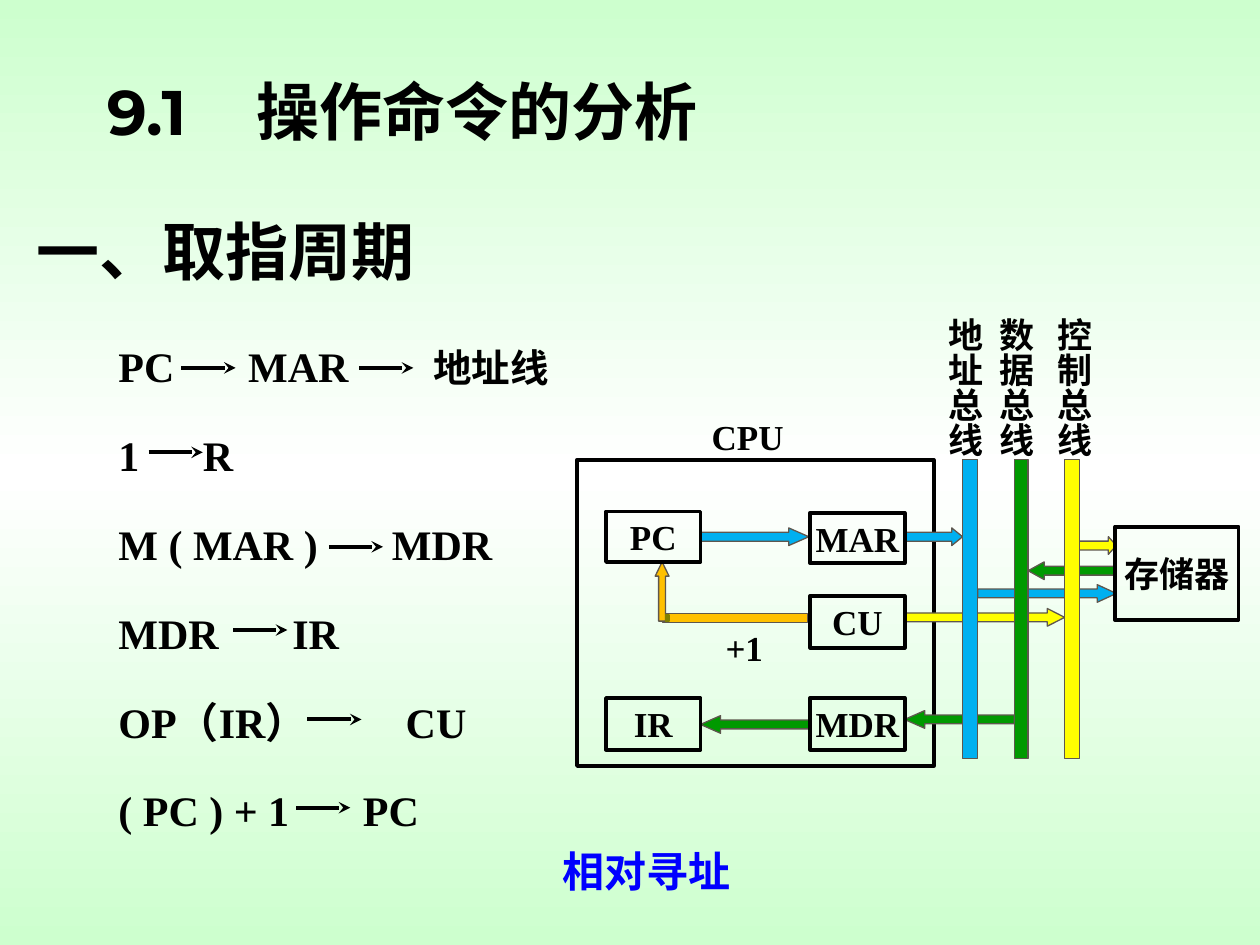
from lxml.etree import SubElement
from pptx import Presentation
from pptx.dml.color import RGBColor
from pptx.enum.shapes import MSO_CONNECTOR, MSO_SHAPE
from pptx.enum.text import MSO_ANCHOR, PP_ALIGN
from pptx.oxml import parse_xml
from pptx.oxml.ns import nsdecls, qn
from pptx.util import Inches, Pt

COLORS = {
    "black": "000000", "outline": "5E574E", "note": "0000FF",
    "address": "00B0F0", "data": "009900", "control": "FFFF00",
    "increment": "FFC000", "corner": "808000",
    "edge": "CDFFCE", "middle": "FFFFFF",
}
SERIF = "Times New Roman"
ARROW_LENGTH = 0.43
BLOCK_HEIGHT = 0.14
BUS_TOP, BUS_HEIGHT = 3.65, 2.37
ROW_LEFT, ROW_TOP, ROW_STEP = 0.94, 2.67, 0.705

# Micro-operations: operands, tab stops of later operands, arrow starts, arrow height
MICRO_OPERATIONS = [
    (("PC", "MAR", "地址线"), (1.03, 2.5), (1.44, 2.85), 2.92),
    (("1", "R"), (0.67,), (1.18,), 3.59),
    (("M ( MAR )", "MDR"), (2.17,), (2.61,), 4.34),
    (("MDR", "IR"), (1.38,), (1.85,), 5.0),
    (("OP（IR）", "CU"), (2.28,), (2.44,), 5.71),
    (("( PC ) + 1", "PC"), (1.94,), (2.35,), 6.41),
]
# Block arrows: direction, left, top, width, head ratio, colour
BLOCK_ARROWS = [
    ("right", 7.18, 4.19, 0.46, 0.61, "address"),
    ("right", 5.56, 4.19, 0.86, 1.14, "address"),
    ("left", 7.18, 5.64, 0.87, 1.14, "data"),
    ("right", 7.18, 4.83, 1.27, 0.98, "control"),
    ("right", 7.76, 4.64, 1.1, 1.08, "address"),
    ("left", 8.16, 4.46, 0.69, 0.91, "data"),
    ("right", 8.51, 4.26, 0.35, 0.45, "control"),
    ("left", 5.56, 5.68, 0.86, 1.14, "data"),
]
# Units: name, left, top, width, height
UNITS = [
    ("PC", 4.81, 4.06, 0.75, 0.4),
    ("MAR", 6.43, 4.07, 0.75, 0.4),
    ("CU", 6.43, 4.73, 0.75, 0.41),
    ("IR", 4.81, 5.54, 0.75, 0.41),
    ("MDR", 6.43, 5.54, 0.75, 0.41),
    ("存储器", 8.85, 4.18, 0.98, 0.74),
]
# Buses: name, label left, bar left, bar width, colour
BUSES = [
    ("地址总线", 7.34, 7.64, 0.12, "address"),
    ("数据总线", 7.75, 8.05, 0.11, "data"),
    ("控制总线", 8.21, 8.45, 0.12, "control"),
]


def rgb(name):
    return RGBColor.from_string(COLORS[name])


def box(left, top, width, height):
    return [Inches(value) for value in (left, top, width, height)]


def write(shape, text, size, font=SERIF, color="black", align=PP_ALIGN.LEFT,
          anchor=MSO_ANCHOR.TOP, insets=(0.1, 0.05), wrap=False, tabs=()):
    frame = shape.text_frame
    frame.text = text
    frame.word_wrap = wrap
    frame.vertical_anchor = anchor
    frame.margin_left = frame.margin_right = Inches(insets[0])
    frame.margin_top = frame.margin_bottom = Inches(insets[1])
    paragraph = frame.paragraphs[0]
    paragraph.alignment = align
    if tabs:
        tab_list = SubElement(paragraph._p.get_or_add_pPr(), qn("a:tabLst"))
        for position in tabs:
            SubElement(tab_list, qn("a:tab"), pos=str(Inches(position)), algn="l")
    for run in paragraph.runs:
        run.font.name = font
        run.font.size = Pt(size)
        run.font.bold = True
        run.font.color.rgb = rgb(color)


def add_text(slide, place, text, size, **style):
    shape = slide.shapes.add_textbox(*box(*place))
    write(shape, text, size, **style)
    return shape


def add_block(slide, preset, place, fill=None, line="outline", line_width=0.75):
    shape = slide.shapes.add_shape(preset, *box(*place))
    shape.shadow.inherit = False
    if fill:
        shape.fill.solid()
        shape.fill.fore_color.rgb = rgb(fill)
    else:
        shape.fill.background()
    shape.line.color.rgb = rgb(line)
    shape.line.width = Pt(line_width)
    return shape


def add_frame(slide, place):
    """Add an unfilled rectangle with a heavy black outline."""
    return add_block(slide, MSO_SHAPE.RECTANGLE, place, line="black", line_width=2.25)


def add_transfer_arrow(slide, left, top):
    connector = slide.shapes.add_connector(
        MSO_CONNECTOR.STRAIGHT, *box(left, top, left + ARROW_LENGTH, top))
    connector.line.color.rgb = rgb("black")
    connector.line.width = Pt(2.25)
    SubElement(connector.line._get_or_add_ln(), qn("a:tailEnd"), type="stealth")
    SubElement(connector._element.spPr, qn("a:effectLst"))


def set_background(slide):
    stops = "".join(
        f'<a:gs pos="{position}"><a:srgbClr val="{COLORS[name]}"/></a:gs>'
        for position, name in ((0, "edge"), (50000, "middle"), (100000, "edge")))
    slide._element.cSld.insert(0, parse_xml(
        f'<p:bg {nsdecls("p", "a")}><p:bgPr><a:gradFill rotWithShape="0">'
        f'<a:gsLst>{stops}</a:gsLst><a:lin ang="5400000" scaled="0"/>'
        '</a:gradFill><a:effectLst/></p:bgPr></p:bg>'))


def add_micro_operations(slide):
    for row, (operands, tabs, arrows, arrow_top) in enumerate(MICRO_OPERATIONS):
        shape = add_text(
            slide, (ROW_LEFT, ROW_TOP + row * ROW_STEP, 4.72, 0.47),
            "\t".join(operands), 24, anchor=MSO_ANCHOR.MIDDLE,
            insets=(0, 0), wrap=True, tabs=tabs)
        if "地址线" in operands:
            paragraph = shape.text_frame.paragraphs[0]
            paragraph.runs[0].text = "\t".join(operands[:-1]) + "\t"
            run = paragraph.add_run()
            run.text = operands[-1]
            run.font.name = SERIF
            run.font.size = Pt(22)
            run.font.bold = True
            run.font.color.rgb = rgb("black")
        for left in arrows:
            add_transfer_arrow(slide, left, arrow_top)


def add_data_path(slide):
    add_frame(slide, (4.58, 3.65, 2.83, 2.43))
    add_text(slide, (5.55, 3.25, 0.77, 0.44), "CPU", 20)

    add_block(slide, MSO_SHAPE.RECTANGLE, (5.26, 4.87, 1.15, 0.07), "increment")
    riser = add_block(slide, MSO_SHAPE.UP_ARROW, (5.2, 4.46, 0.11, 0.47), "increment")
    riser.adjustments[1] = 1.03
    add_block(slide, MSO_SHAPE.RECTANGLE, (5.28, 4.88, 0.03, 0.05), "corner", "corner")
    add_text(slide, (5.66, 4.92, 1.21, 0.44), "+1", 20, wrap=True)

    presets = {"right": MSO_SHAPE.RIGHT_ARROW, "left": MSO_SHAPE.LEFT_ARROW}
    for direction, left, top, width, head, color in BLOCK_ARROWS:
        arrow = add_block(slide, presets[direction],
                          (left, top, width, BLOCK_HEIGHT), color)
        arrow.adjustments[1] = head

    for name, *place in UNITS:
        write(add_frame(slide, place), name, 20,
              align=PP_ALIGN.CENTER, anchor=MSO_ANCHOR.MIDDLE)

    for name, label_left, bar_left, width, color in BUSES:
        add_block(slide, MSO_SHAPE.RECTANGLE,
                  (bar_left, BUS_TOP, width, BUS_HEIGHT), color)
        label = add_text(slide, (label_left, 2.42, 0.53, 1.22), name, 20,
                         insets=(0.05, 0.1))
        label.text_frame._txBody.bodyPr.set("vert", "eaVert")


def main():
    presentation = Presentation()
    presentation.slide_width, presentation.slide_height = Inches(10), Inches(7.5)
    slide = presentation.slides.add_slide(presentation.slide_layouts[6])
    set_background(slide)
    add_text(slide, (0.75, 0.25, 8.5, 1.25), "9.1\t操作命令的分析", 36,
             font="Montserrat", anchor=MSO_ANCHOR.MIDDLE, wrap=True, tabs=(1.19,))
    add_text(slide, (0.29, 1.75, 4.46, 0.47), "一、取指周期", 36,
             anchor=MSO_ANCHOR.MIDDLE, insets=(0, 0))
    add_micro_operations(slide)
    add_data_path(slide)
    add_text(slide, (4.37, 6.66, 1.53, 0.5), "相对寻址", 24,
             color="note", align=PP_ALIGN.RIGHT)
    presentation.save("out.pptx")


if __name__ == "__main__":
    main()
